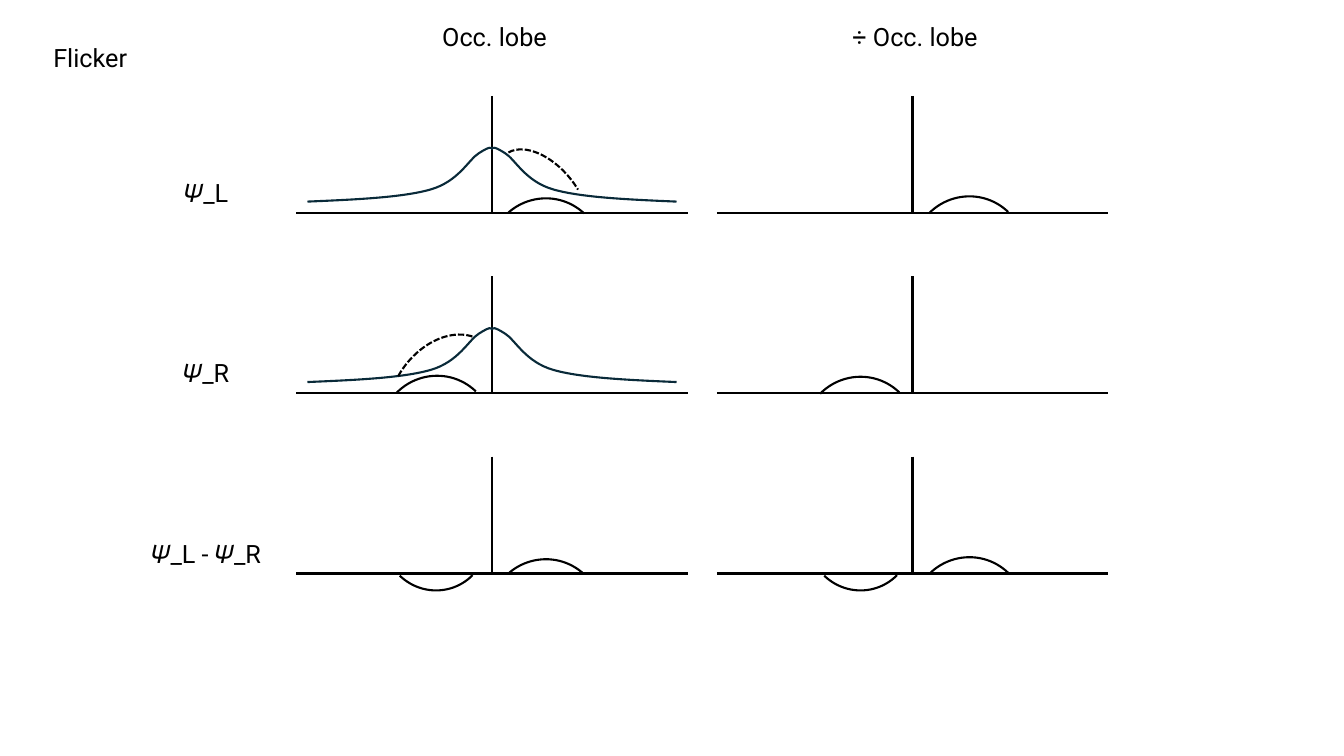
from lxml import etree
from pptx import Presentation
from pptx.dml.color import RGBColor
from pptx.enum.dml import MSO_LINE
from pptx.enum.shapes import MSO_CONNECTOR, MSO_SHAPE
from pptx.enum.text import MSO_AUTO_SIZE, PP_ALIGN
from pptx.oxml.ns import qn
from pptx.util import Inches, Pt

STRAIGHT = MSO_CONNECTOR.STRAIGHT
ARC = MSO_SHAPE.ARC
DASHED = MSO_LINE.SQUARE_DOT
CENTER = PP_ALIGN.CENTER
FIT_SHAPE = MSO_AUTO_SIZE.SHAPE_TO_FIT_TEXT

COLORS = {"ink": "000000", "bell": "092A39"}
FONT = "Roboto"

LABEL_WIDTH, LABEL_HEIGHT = 1.79, 0.4
AXIS_HALF_WIDTH, AXIS_HEIGHT = 1.94, 1.16
COLUMN_XS = [4.88, 9.05]
ROW_YS = [2.11 + 1.79 * row for row in range(3)]
HEADINGS = ["Occ. lobe", "÷ Occ. lobe"]
ROW_LABELS = ["𝛹_L", "𝛹_R", "𝛹_L - 𝛹_R"]

# Left half of the bell: a start point, then three points per Bézier segment,
# measured from the crossing of the axes.
BELL_HALF = [
    (-1.83, -0.11),
    (-1.36, -0.13), (-0.89, -0.15), (-0.61, -0.23),
    (-0.33, -0.31), (-0.23, -0.53), (-0.13, -0.59),
    (-0.02, -0.66), (-0.01, -0.65), (0.01, -0.63),
]

BUMP_SIZE, DIP_SIZE = (1.12, 1.11), (1.02, 1.03)
BUMP_ANGLES, NARROW_ANGLES = (270, 359.53), (273.09, 358.54)
BUMP_TURN, DIP_TURN = 314.6, 134.6

# (column, row): arcs as offset from the crossing, size, rotation, angles
LEFT_BUMP = ((-0.03, -0.14), BUMP_SIZE, BUMP_TURN, NARROW_ANGLES)
RIGHT_BUMP = ((0, -0.16), BUMP_SIZE, BUMP_TURN, BUMP_ANGLES)
SOLID_ARCS = {
    (0, 0): [LEFT_BUMP],
    (1, 0): [RIGHT_BUMP],
    (0, 1): [((-1.11, -0.17), BUMP_SIZE, BUMP_TURN, BUMP_ANGLES)],
    (1, 1): [((-1.08, -0.16), BUMP_SIZE, BUMP_TURN, BUMP_ANGLES)],
    (0, 2): [LEFT_BUMP, ((-1.07, -0.86), DIP_SIZE, DIP_TURN, BUMP_ANGLES)],
    (1, 2): [RIGHT_BUMP, ((-1.03, -0.86), DIP_SIZE, DIP_TURN, BUMP_ANGLES)],
}
DASHED_ARCS = [
    ((0.16, -0.71), (0.69, 1.17), 320.7, (273.33, 22.72)),
    ((-1.14, -0.46), (1.31, 0.95), 306.8, (255.67, 351.08)),
]


def style_line(line, color):
    line.color.rgb = RGBColor.from_string(COLORS[color])
    line.width = Pt(1.5)


def add_label(slide, text, left, top):
    box = slide.shapes.add_textbox(
        Inches(left), Inches(top), Inches(LABEL_WIDTH), Inches(LABEL_HEIGHT))
    frame = box.text_frame
    frame.word_wrap = True
    frame.auto_size = FIT_SHAPE
    frame.text = text
    paragraph = frame.paragraphs[0]
    paragraph.alignment = CENTER
    font = paragraph.runs[0].font
    font.name = FONT
    font.size = Pt(18)
    font.color.rgb = RGBColor.from_string(COLORS["ink"])


def add_line(slide, x1, y1, x2, y2):
    line = slide.shapes.add_connector(
        STRAIGHT, Inches(x1), Inches(y1), Inches(x2), Inches(y2))
    style_line(line.line, "ink")
    etree.SubElement(line._element.spPr, qn("a:effectLst"))


def add_axes(slide, x, y):
    add_line(slide, x, y - AXIS_HEIGHT, x, y)
    add_line(slide, x - AXIS_HALF_WIDTH, y, x + AXIS_HALF_WIDTH, y)


def add_arc(slide, x, y, offset, size, rotation, angles):
    """Draw an arc placed by its offset from the crossing at x, y."""
    arc = slide.shapes.add_shape(
        ARC, Inches(x + offset[0]), Inches(y + offset[1]),
        Inches(size[0]), Inches(size[1]))
    arc.rotation = rotation
    for index, degrees in enumerate(angles):
        arc.adjustments[index] = degrees * 0.6  # 60000 units per degree
    arc.fill.background()
    arc.shadow.inherit = False
    style_line(arc.line, "ink")
    return arc


def smooth_segments(shape):
    """Turn each run of three straight segments into one Bézier segment."""
    outline = next(shape._element.iter(qn("a:path")))
    segments = outline.findall(qn("a:lnTo"))
    for start in range(0, len(segments), 3):
        curve = etree.SubElement(outline, qn("a:cubicBezTo"))
        for segment in segments[start:start + 3]:
            curve.append(segment[0])
            outline.remove(segment)


def add_bell(slide, x, y):
    bell = slide.shapes.add_group_shape()
    for side in (1, -1):
        points = [(Inches(x + side * dx), Inches(y + dy)) for dx, dy in BELL_HALF]
        builder = bell.shapes.build_freeform(*points[0])
        builder.add_line_segments(points[1:], close=False)
        half = builder.convert_to_shape()
        smooth_segments(half)
        half.fill.background()
        half.shadow.inherit = False
        style_line(half.line, "bell")


def main():
    prs = Presentation()
    prs.slide_width, prs.slide_height = Inches(13.33), Inches(7.5)
    slide = prs.slides.add_slide(prs.slide_layouts[6])

    add_label(slide, "Flicker", 0, 0.37)
    for heading, x in zip(HEADINGS, COLUMN_XS):
        add_label(slide, heading, x - 0.87, 0.16)
    for label, y in zip(ROW_LABELS, ROW_YS):
        add_label(slide, label, 1.15, y - LABEL_HEIGHT)

    for (column, row), arcs in SOLID_ARCS.items():
        x, y = COLUMN_XS[column], ROW_YS[row]
        add_axes(slide, x, y)
        for arc in arcs:
            add_arc(slide, x, y, *arc)

    for y, dashed_arc in zip(ROW_YS, DASHED_ARCS):
        add_bell(slide, COLUMN_XS[0], y)
        add_arc(slide, COLUMN_XS[0], y, *dashed_arc).line.dash_style = DASHED

    prs.save("out.pptx")


if __name__ == "__main__":
    main()
